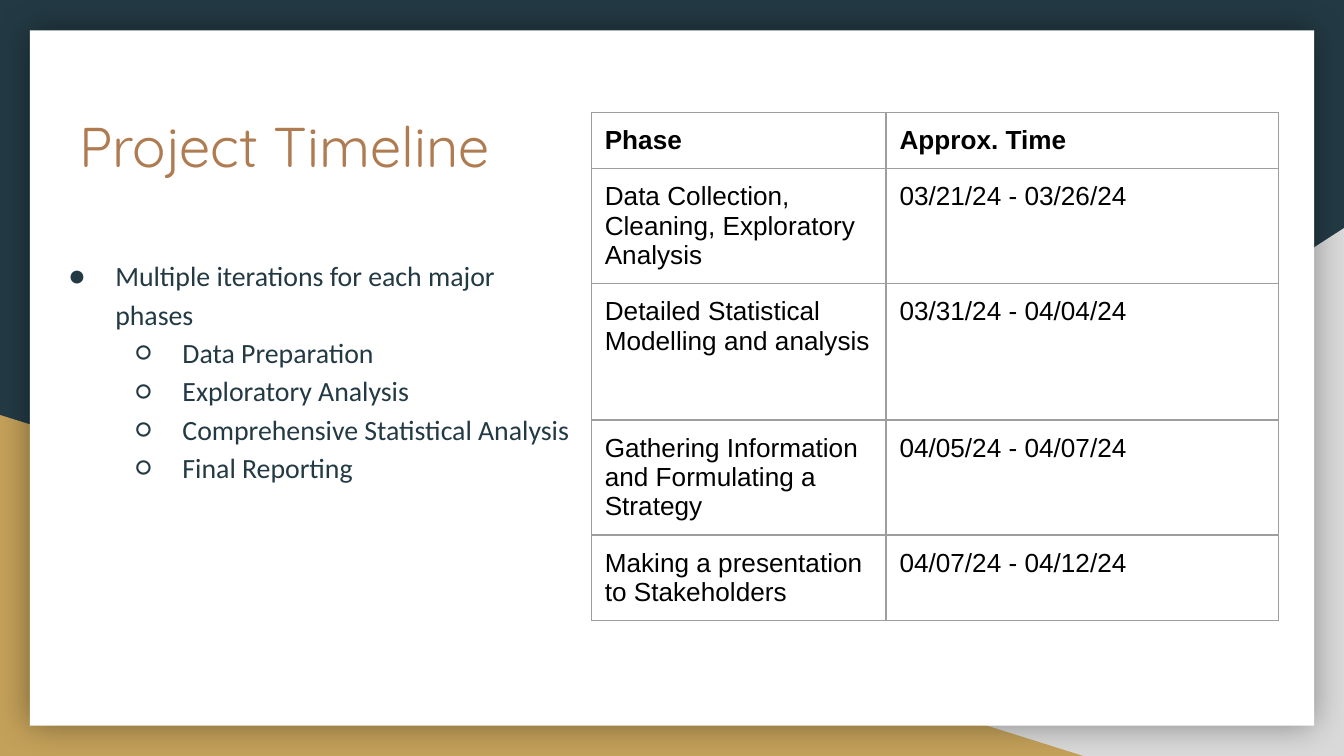
"""Build the project timeline slide with a phase table and a bulleted list."""
from dataclasses import dataclass

from lxml import etree
from pptx import Presentation
from pptx.dml.color import RGBColor
from pptx.enum.shapes import MSO_SHAPE
from pptx.enum.text import MSO_ANCHOR, MSO_AUTO_SIZE, PP_ALIGN
from pptx.oxml.ns import qn
from pptx.shapes.autoshape import Shape
from pptx.slide import Slide
from pptx.table import _Cell
from pptx.text.text import TextFrame, _Paragraph
from pptx.util import Pt

TRIANGLE, RECTANGLE = MSO_SHAPE.RIGHT_TRIANGLE, MSO_SHAPE.RECTANGLE
TOP, MIDDLE = MSO_ANCHOR.TOP, MSO_ANCHOR.MIDDLE
LEFT, NO_FIT = PP_ALIGN.LEFT, MSO_AUTO_SIZE.NONE
TITLE_ONLY = 5
INSET = 7.2
COLORS = {
    "navy": "233A44", "gray": "D9D9D9", "gold": "C4A15A", "white": "FFFFFF",
    "copper": "AF7B51", "black": "000000", "border": "9E9E9E",
}


@dataclass(frozen=True)
class Box:
    left: float
    top: float
    width: float
    height: float

    def lengths(self) -> tuple:
        return Pt(self.left), Pt(self.top), Pt(self.width), Pt(self.height)


@dataclass(frozen=True)
class Bullet:
    text: str
    level: int = 1


@dataclass(frozen=True)
class Phase:
    name: str
    time: str
    height: float


BULLETS = [
    Bullet("Multiple iterations for each major phases", 0),
    Bullet("Data Preparation"),
    Bullet("Exploratory Analysis"),
    Bullet("Comprehensive Statistical Analysis"),
    Bullet("Final Reporting"),
]
BULLET_MARKS = "●○"
PHASES = [
    Phase("Phase", "Approx. Time", 25),
    Phase("Data Collection, Cleaning, Exploratory Analysis", "03/21/24 - 03/26/24", 52),
    Phase("Detailed Statistical Modelling and analysis", "03/31/24 - 04/04/24", 73),
    Phase("Gathering Information and Formulating a Strategy", "04/05/24 - 04/07/24", 52),
    Phase("Making a presentation to Stakeholders", "04/07/24 - 04/12/24", 40),
]
COLUMN_WIDTHS = (157.9, 210.1)


def color(name: str) -> RGBColor:
    return RGBColor.from_string(COLORS[name])


def add_color(parent: etree._Element, name: str) -> etree._Element:
    return etree.SubElement(parent, qn("a:srgbClr"), val=COLORS[name])


def format_frame(frame: TextFrame, anchor: MSO_ANCHOR) -> None:
    frame.word_wrap = True
    frame.auto_size = NO_FIT
    frame.vertical_anchor = anchor
    frame.margin_left = frame.margin_right = Pt(INSET)
    frame.margin_top = frame.margin_bottom = Pt(INSET)


def format_paragraph(paragraph: _Paragraph, font_name: str, size: float,
                     color_name: str, bold: bool = False) -> None:
    paragraph.alignment = LEFT
    font = paragraph.font
    font.name, font.size, font.bold = font_name, Pt(size), bold
    font.color.rgb = color(color_name)


def add_panel(slide: Slide, kind: MSO_SHAPE, box: Box, fill: str) -> Shape:
    shape = slide.shapes.add_shape(kind, *box.lengths())
    shape.shadow.inherit = False
    shape.fill.solid()
    shape.fill.fore_color.rgb = color(fill)
    shape.line.fill.background()
    return shape


def add_glow_shadow(shape: Shape) -> None:
    effects = shape.element.spPr.find(qn("a:effectLst"))
    shadow = etree.SubElement(effects, qn("a:outerShdw"), blurRad=str(Pt(18)),
                              dist="0", dir="0", algn="ctr", rotWithShape="0")
    etree.SubElement(add_color(shadow, "black"), qn("a:alpha"), val="40000")


def add_background(slide: Slide) -> None:
    slide.background.fill.solid()
    slide.background.fill.fore_color.rgb = color("navy")
    corner = add_panel(slide, TRIANGLE, Box(282.2, 122.2, 437.8, 282.8), "gray")
    corner.element.spPr.find(qn("a:xfrm")).set("flipH", "1")
    add_panel(slide, TRIANGLE, Box(0, 222.3, 580.3, 182.7), "gold")
    add_glow_shadow(add_panel(slide, RECTANGLE, Box(16, 16.2, 688, 372.6), "white"))


def place_title(slide: Slide, text: str, box: Box) -> None:
    title = slide.shapes.title
    title.left, title.top, title.width, title.height = box.lengths()
    title.element.getparent().append(title.element)
    format_frame(title.text_frame, MIDDLE)
    title.text_frame.text = text
    format_paragraph(title.text_frame.paragraphs[0], "Quicksand", 30, "copper")


def add_bullets(slide: Slide, bullets: list[Bullet], box: Box) -> None:
    frame = slide.shapes.add_textbox(*box.lengths()).text_frame
    format_frame(frame, TOP)
    frame.text = "\n".join(bullet.text for bullet in bullets)
    for paragraph, bullet in zip(frame.paragraphs, bullets):
        paragraph.level = bullet.level
        paragraph.line_spacing = 1.15
        properties = paragraph._p.get_or_add_pPr()
        properties.set("marL", str(Pt(36 * (bullet.level + 1))))
        properties.set("indent", str(Pt(-25)))
        add_color(etree.SubElement(properties, qn("a:buClr")), "navy")
        etree.SubElement(properties, qn("a:buFont"), typeface="Calibri")
        etree.SubElement(properties, qn("a:buChar"), char=BULLET_MARKS[bullet.level])
        format_paragraph(paragraph, "Calibri", 14.9, "navy")


def add_borders(cell: _Cell) -> None:
    properties = cell._tc.get_or_add_tcPr()
    for position, side in enumerate(("lnL", "lnR", "lnT", "lnB")):
        line = etree.Element(qn(f"a:{side}"), w=str(Pt(0.75)))
        add_color(etree.SubElement(line, qn("a:solidFill")), "border")
        properties.insert(position, line)


def fill_cell(cell: _Cell, text: str, bold: bool) -> None:
    cell.text = text
    cell.fill.background()
    cell.vertical_anchor = TOP
    cell.margin_left = cell.margin_right = Pt(INSET)
    cell.margin_top = cell.margin_bottom = Pt(INSET)
    format_paragraph(cell.text_frame.paragraphs[0], "Arial", 14, "black", bold)
    add_borders(cell)


def add_phase_table(slide: Slide, phases: list[Phase], left: float, top: float) -> None:
    box = Box(left, top, sum(COLUMN_WIDTHS), sum(phase.height for phase in phases))
    table = slide.shapes.add_table(len(phases), len(COLUMN_WIDTHS), *box.lengths()).table
    table.horz_banding = False
    table.first_row = False
    for column, width in zip(table.columns, COLUMN_WIDTHS):
        column.width = Pt(width)
    for index, phase in enumerate(phases):
        table.rows[index].height = Pt(phase.height)
        for column, text in enumerate((phase.name, phase.time)):
            fill_cell(table.cell(index, column), text, bold=index == 0)


def main() -> None:
    presentation = Presentation()
    presentation.slide_width, presentation.slide_height = Pt(720), Pt(405)
    slide = presentation.slides.add_slide(presentation.slide_layouts[TITLE_ONLY])
    add_background(slide)
    place_title(slide, "Project Timeline", Box(35.3, 51.8, 267.1, 51.8))
    add_bullets(slide, BULLETS, Box(18.7, 128.9, 298.1, 294.5))
    add_phase_table(slide, PHASES, 316.8, 60.2)
    presentation.save("out.pptx")


if __name__ == "__main__":
    main()
